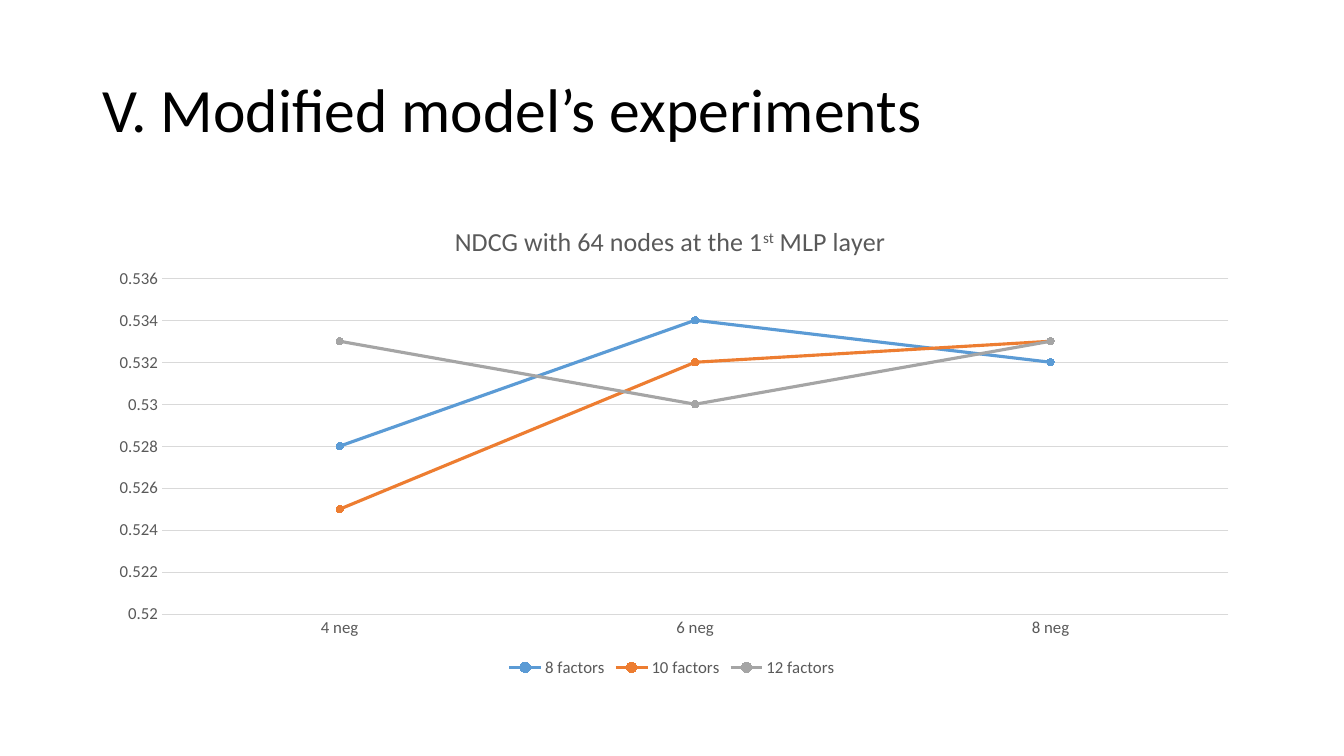
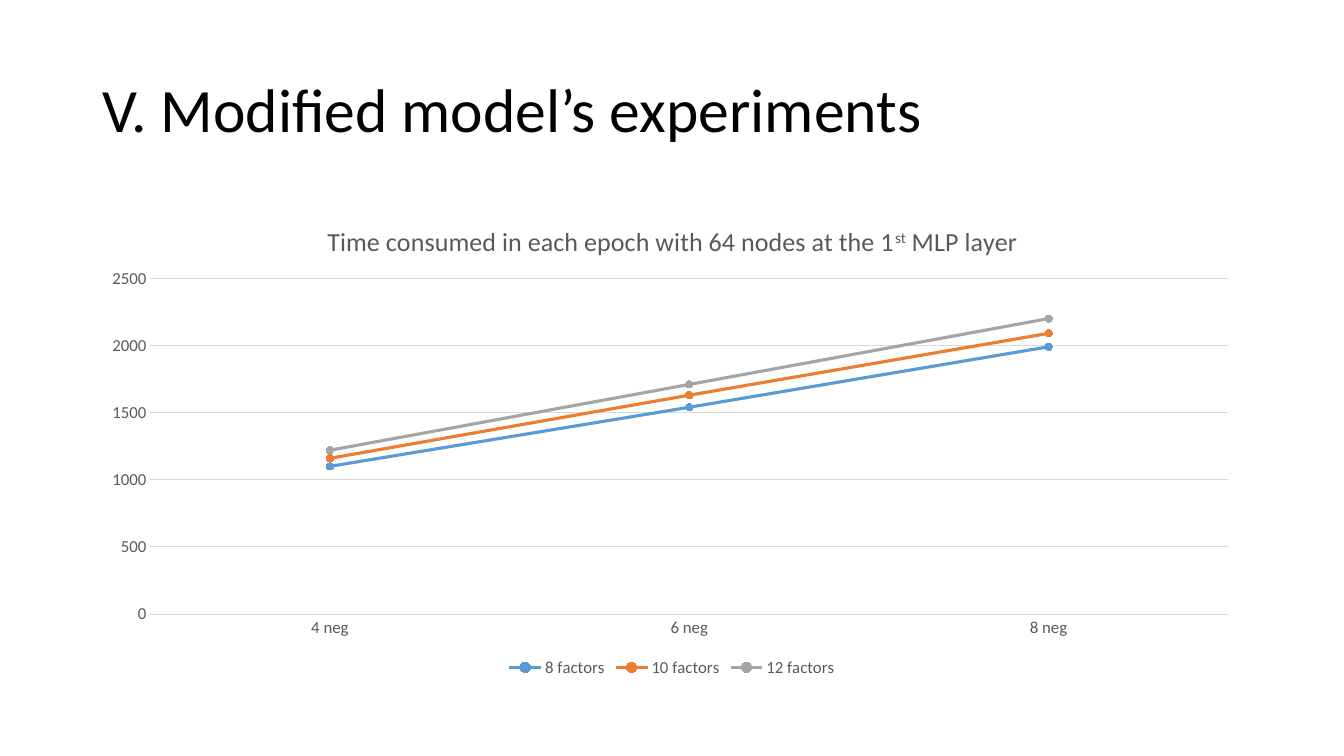
from dataclasses import dataclass
from typing import Any

from lxml import etree
from pptx import Presentation
from pptx import util as u
from pptx.chart import data as chart_data
from pptx.dml.color import RGBColor
from pptx.enum import chart as charts, text
from pptx.oxml.ns import qn

EMU_PER_PX = 9525
FONT = "Calibri"
BLACK = RGBColor(0x00, 0x00, 0x00)
GREY_TEXT = RGBColor(0x59, 0x59, 0x59)
GRID = RGBColor(0xD9, 0xD9, 0xD9)
BLUE = RGBColor(0x5B, 0x9B, 0xD5)
ORANGE = RGBColor(0xED, 0x7D, 0x31)
GREY = RGBColor(0xA5, 0xA5, 0xA5)

SLIDE_SIZE = (1280, 720)
TITLE_BOX = (88, 38, 1104, 139)
CHART_BOX = (88, 192, 1104, 457)
PLOT_TOP, PLOT_RIGHT, PLOT_BOTTOM = 0.16, 0.98, 0.86
CHART_TITLE_TOP = 0.04

PAGE_TITLE = "V. Modified model’s experiments"
CATEGORIES = ("4 neg", "6 neg", "8 neg")
FACTORS = (("8 factors", BLUE), ("10 factors", ORANGE), ("12 factors", GREY))

TITLE_FORMAT = {"name": FONT, "size": u.Pt(44)}
CHART_TITLE_FORMAT = {"name": FONT, "size": u.Pt(18.6), "bold": False}
LABEL_FORMAT = {"name": FONT, "size": u.Pt(12), "bold": False}


@dataclass(frozen=True)
class Experiment:
    subject: str
    title_left: float
    plot_left: float
    minimum: float
    maximum: float
    step: float
    values: tuple[tuple[float, ...], ...]


EXPERIMENTS = (
    Experiment(
        "NDCG", 0.31, 0.06, 0.52, 0.536, 0.002,
        ((0.528, 0.534, 0.532), (0.525, 0.532, 0.533), (0.533, 0.53, 0.533)),
    ),
    Experiment(
        "Time consumed in each epoch", 0.2, 0.05, 0, 2500, 500,
        ((1100, 1540, 1990), (1160, 1630, 2090), (1220, 1710, 2200)),
    ),
)


def px(length: int) -> u.Emu:
    return u.Emu(length * EMU_PER_PX)


def apply(target: Any, values: dict[str, Any]) -> None:
    for name, value in values.items():
        setattr(target, name, value)


def style_font(font: Any, values: dict[str, Any], color: RGBColor) -> None:
    apply(font, values)
    font.color.rgb = color


def style_line(line: Any, color: RGBColor, width: float) -> None:
    line.color.rgb = color
    line.width = u.Pt(width)


def place(parent: Any, index: int, values: dict[str, Any]) -> None:
    for old in parent.findall(qn("c:layout")):
        parent.remove(old)
    layout = etree.Element(qn("c:layout"))
    manual = etree.SubElement(layout, qn("c:manualLayout"))
    for name, value in values.items():
        etree.SubElement(manual, qn(f"c:{name}")).set("val", str(value))
    parent.insert(index, layout)


def add_title(page: Any) -> None:
    box = page.shapes.title
    apply(box, dict(zip(("left", "top", "width", "height"), map(px, TITLE_BOX))))
    frame = box.text_frame
    frame.text = PAGE_TITLE
    apply(frame, {
        "vertical_anchor": text.MSO_ANCHOR.MIDDLE,
        "auto_size": text.MSO_AUTO_SIZE.NONE,
        "word_wrap": True,
    })
    para = frame.paragraphs[0]
    apply(para, {"alignment": text.PP_ALIGN.LEFT, "line_spacing": 0.9})
    style_font(para.runs[0].font, TITLE_FORMAT, BLACK)


def add_chart_title(chart: Any, experiment: Experiment) -> None:
    chart.has_title = True
    para = chart.chart_title.text_frame.paragraphs[0]
    for words in (f"{experiment.subject} with 64 nodes at the 1", "st", " MLP layer"):
        span = para.add_run()
        span.text = words
        style_font(span.font, CHART_TITLE_FORMAT, GREY_TEXT)
        if words == "st":
            span._r.get_or_add_rPr().set("baseline", "30000")
    chart.chart_title.include_in_layout = False
    title = chart.element.find(f"{qn('c:chart')}/{qn('c:title')}")
    place(title, 1, {
        "xMode": "edge", "yMode": "edge",
        "x": experiment.title_left, "y": CHART_TITLE_TOP,
    })


def style_axes(chart: Any, experiment: Experiment) -> None:
    for axis in (chart.category_axis, chart.value_axis):
        apply(axis, {
            "major_tick_mark": charts.XL_TICK_MARK.NONE,
            "minor_tick_mark": charts.XL_TICK_MARK.NONE,
        })
        style_font(axis.tick_labels.font, LABEL_FORMAT, GREY_TEXT)
    style_line(chart.category_axis.format.line, GRID, 0.75)
    axis = chart.value_axis
    apply(axis, {
        "minimum_scale": experiment.minimum,
        "maximum_scale": experiment.maximum,
        "major_unit": experiment.step,
        "has_major_gridlines": True,
    })
    axis.format.line.fill.background()
    style_line(axis.major_gridlines.format.line, GRID, 0.75)


def style_series(series: Any, color: RGBColor) -> None:
    series.smooth = False
    style_line(series.format.line, color, 2.25)
    marker = series.marker
    apply(marker, {"style": charts.XL_MARKER_STYLE.CIRCLE, "size": 5})
    marker.format.fill.solid()
    marker.format.fill.fore_color.rgb = color
    style_line(marker.format.line, color, 0.75)


def add_line_chart(page: Any, experiment: Experiment) -> None:
    table = chart_data.CategoryChartData()
    table.categories = CATEGORIES
    for (name, _), values in zip(FACTORS, experiment.values):
        table.add_series(name, values)
    chart = page.shapes.add_chart(
        charts.XL_CHART_TYPE.LINE_MARKERS, *map(px, CHART_BOX), table
    ).chart
    style_font(chart.font, {"name": FONT, "size": u.Pt(10)}, BLACK)
    add_chart_title(chart, experiment)
    style_axes(chart, experiment)
    plot = chart.plots[0]
    plot.vary_by_categories = False
    for series, (_, color) in zip(plot.series, FACTORS):
        style_series(series, color)
    chart.has_legend = True
    apply(chart.legend, {
        "position": charts.XL_LEGEND_POSITION.BOTTOM,
        "include_in_layout": False,
    })
    style_font(chart.legend.font, LABEL_FORMAT, GREY_TEXT)
    area = chart.element.find(f"{qn('c:chart')}/{qn('c:plotArea')}")
    place(area, 0, {
        "layoutTarget": "inner", "xMode": "edge", "yMode": "edge",
        "x": experiment.plot_left, "y": PLOT_TOP,
        "w": round(PLOT_RIGHT - experiment.plot_left, 2),
        "h": round(PLOT_BOTTOM - PLOT_TOP, 2),
    })


def main() -> None:
    deck = Presentation()
    deck.slide_width, deck.slide_height = map(px, SLIDE_SIZE)
    for experiment in EXPERIMENTS:
        page = deck.slides.add_slide(deck.slide_layouts.get_by_name("Title Only"))
        add_title(page)
        add_line_chart(page, experiment)
    deck.save("out.pptx")


if __name__ == "__main__":
    main()
